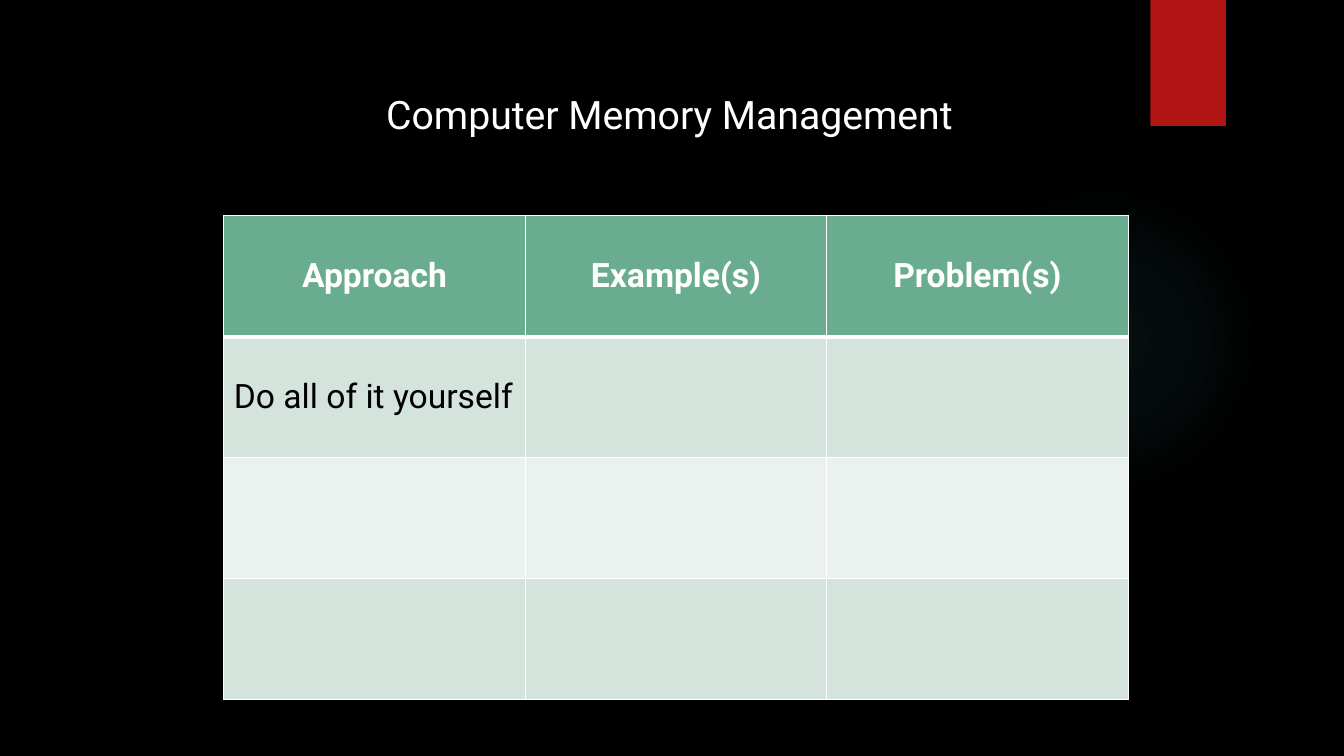
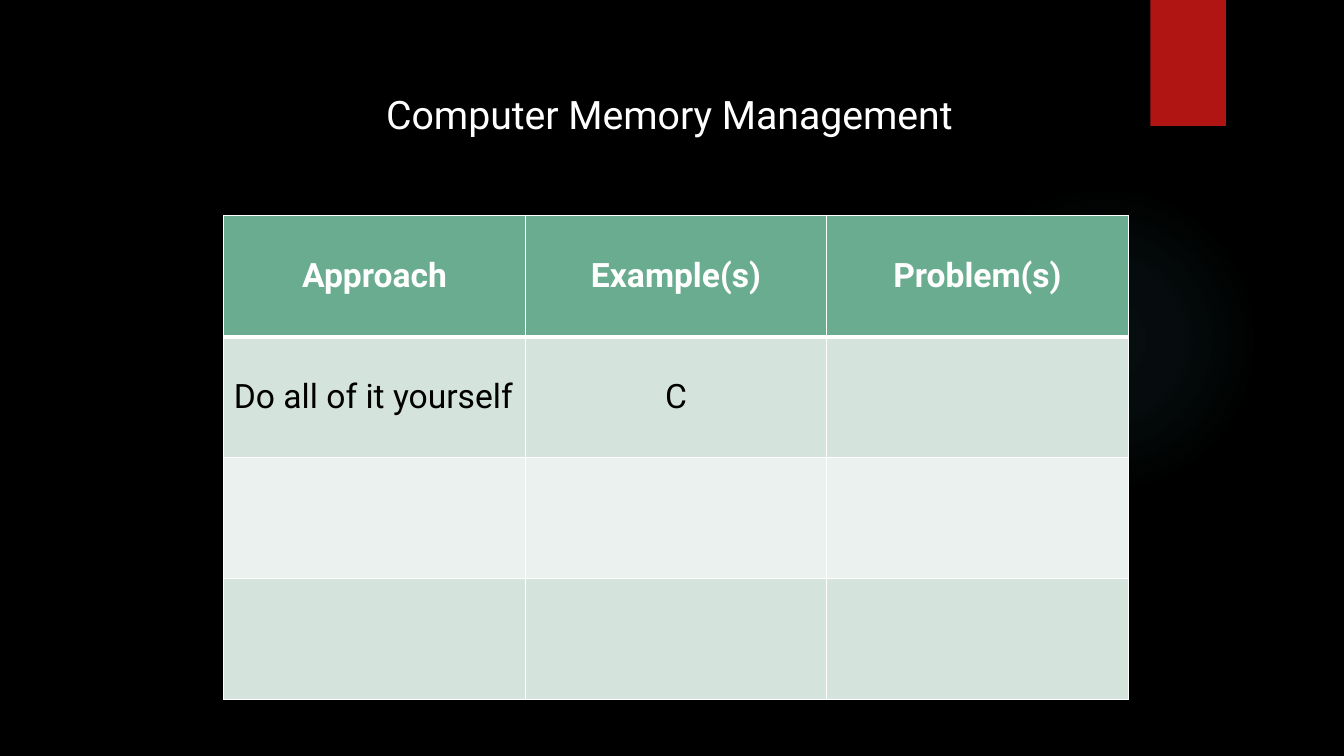
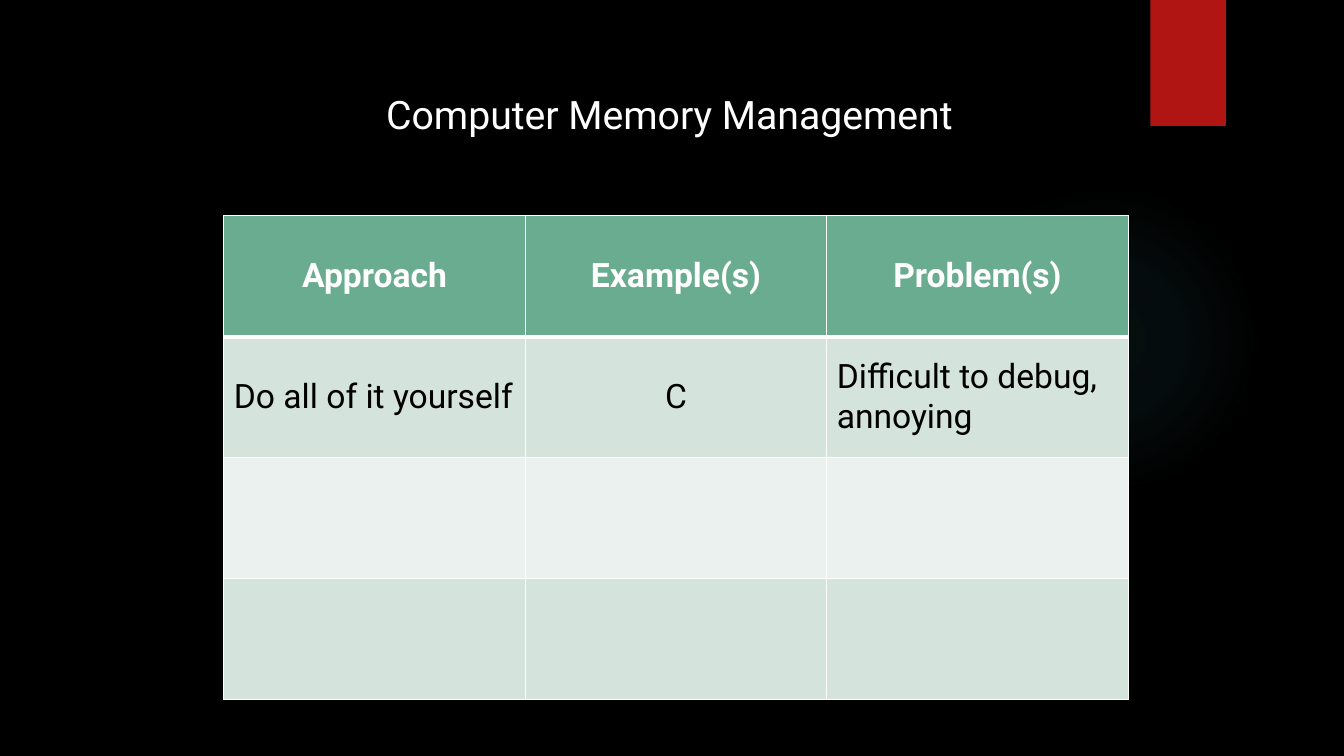
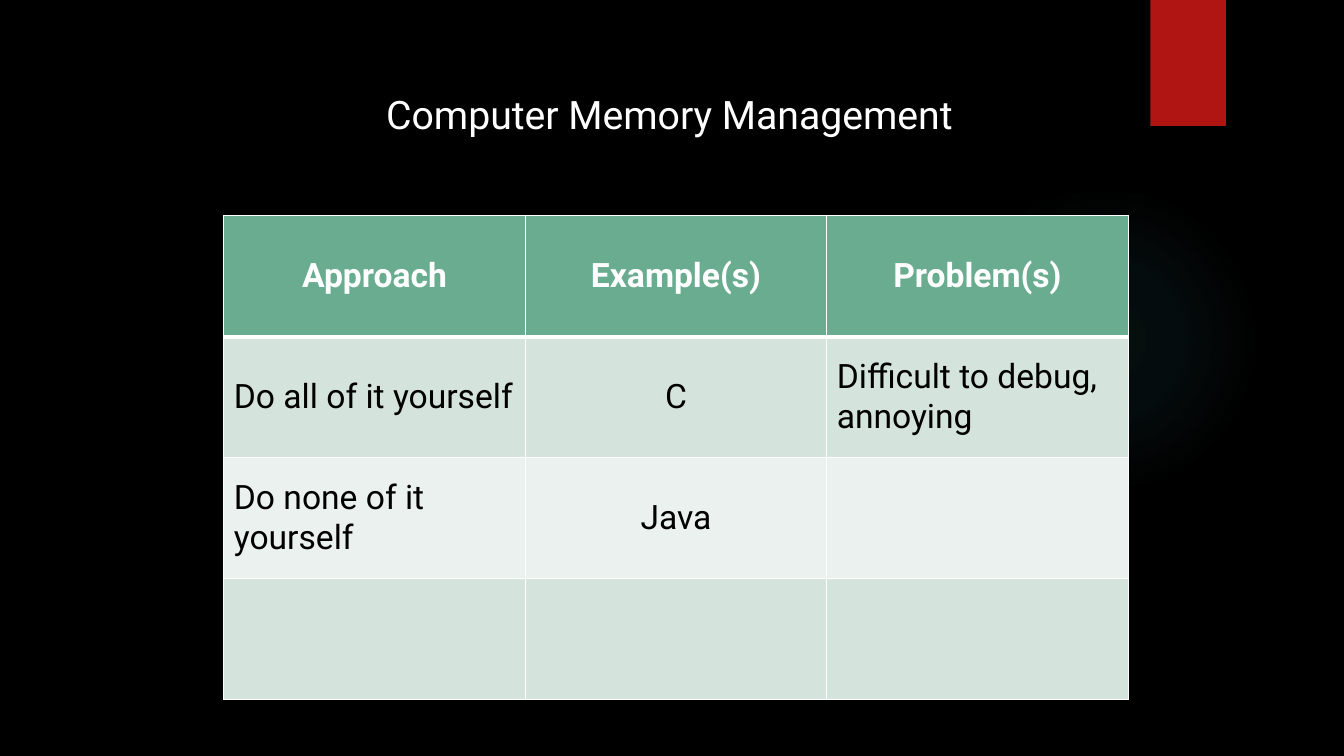
from typing import NamedTuple

from lxml import etree
from pptx import Presentation
from pptx.dml.color import RGBColor
from pptx.enum.shapes import MSO_SHAPE
from pptx.enum.text import MSO_ANCHOR, MSO_AUTO_SIZE, PP_ALIGN
from pptx.oxml import parse_xml
from pptx.oxml.ns import nsdecls, qn
from pptx.util import Emu, Pt

EMU_PER_PX = 9144  # 100 px to the inch
TITLE_ONLY = 5

RECTANGLE, OVAL = MSO_SHAPE.RECTANGLE, MSO_SHAPE.OVAL
LEFT, CENTER = PP_ALIGN.LEFT, PP_ALIGN.CENTER
TOP, MIDDLE = MSO_ANCHOR.TOP, MSO_ANCHOR.MIDDLE
NO_AUTOFIT = MSO_AUTO_SIZE.NONE

FONT = "Roboto"
BLACK, WHITE = "000000", "FFFFFF"
RED, GLOW = "B01513", "50B9C1"
HEADER_GREEN = "6AAC90"
BAND_GREENS = ("D4E3DB", "EBF1EE")
GLOW_STOPS = ((0, 7), (36, 6), (69, 0))  # position and opacity, in percent

TITLE = "Computer Memory Management"
HEADERS = ("Approach", "Example(s)", "Problem(s)")
ALIGNMENTS = (LEFT, CENTER, LEFT)
ANSWERS = (
    "Do all of it yourself", "C", "Difficult to debug, annoying",
    "Do none of it yourself", "Java",
)
ANSWERS_SHOWN = (1, 2, 3, 5)  # one count per slide
ROW_COUNT = 4
COLUMN_WIDTH, ROW_HEIGHT = 299, 120


class Area(NamedTuple):
    left: int
    top: int
    width: int
    height: int

    def emu(self) -> tuple[Emu, ...]:
        return tuple(px(length) for length in self)


class CellStyle(NamedTuple):
    fill: str
    color: str
    bold: bool
    align: PP_ALIGN
    top_border: int
    bottom_border: int


TITLE_AREA = Area(373, 85, 587, 57)
GLOW_AREA = Area(941, 183, 308, 308)
RIBBON_AREA = Area(1141, 0, 75, 125)
TABLE_AREA = Area(222, 214, COLUMN_WIDTH * len(HEADERS), ROW_HEIGHT * ROW_COUNT)


def px(length: int) -> Emu:
    return Emu(length * EMU_PER_PX)


def rgb(color: str) -> RGBColor:
    return RGBColor.from_string(color)


def style_paragraph(para, size: int, color: str, bold: bool, align: PP_ALIGN) -> None:
    para.alignment = align
    font = para.font
    font.name, font.size, font.bold = FONT, Pt(size), bold
    font.color.rgb = rgb(color)


def add_plain_shape(page, kind: MSO_SHAPE, area: Area, color: str):
    shape = page.shapes.add_shape(kind, *area.emu())
    shape.shadow.inherit = False
    shape.fill.solid()
    shape.fill.fore_color.rgb = rgb(color)
    shape.line.fill.background()
    return shape


def fade_to_edge(shape, color: str) -> None:
    """Replace the solid fill by a round gradient that turns transparent."""
    stops = "".join(
        f'<a:gs pos="{position * 1000}"><a:srgbClr val="{color}">'
        f'<a:alpha val="{opacity * 1000}"/></a:srgbClr></a:gs>'
        for position, opacity in GLOW_STOPS
    )
    gradient = parse_xml(
        f'<a:gradFill {nsdecls("a")} rotWithShape="1"><a:gsLst>{stops}</a:gsLst>'
        '<a:path path="circle"><a:fillToRect l="50000" t="50000" r="50000" b="50000"/>'
        "</a:path></a:gradFill>"
    )
    properties = shape.element.spPr
    properties.replace(properties.find(qn("a:solidFill")), gradient)


def add_border(cell, side: str, width: int) -> None:
    properties = cell._tc.get_or_add_tcPr()
    line = etree.SubElement(properties, qn(f"a:ln{side}"), w=str(Pt(width)))
    fill = etree.SubElement(line, qn("a:solidFill"))
    etree.SubElement(fill, qn("a:srgbClr"), val=WHITE)


def cell_style(row: int, column: int) -> CellStyle:
    if row == 0:
        return CellStyle(HEADER_GREEN, WHITE, True, CENTER, 1, 3)
    band = BAND_GREENS[(row - 1) % 2]
    return CellStyle(band, BLACK, False, ALIGNMENTS[column], 3 if row == 1 else 1, 1)


def fill_cell(cell, text: str, style: CellStyle) -> None:
    borders = {"L": 1, "R": 1, "T": style.top_border, "B": style.bottom_border}
    for side, width in borders.items():
        add_border(cell, side, width)
    cell.fill.solid()
    cell.fill.fore_color.rgb = rgb(style.fill)
    cell.vertical_anchor = MIDDLE
    if text:
        cell.text = text
        style_paragraph(cell.text_frame.paragraphs[0], 24, style.color, style.bold, style.align)


def add_approach_table(page, answers: tuple[str, ...]) -> None:
    column_count = len(HEADERS)
    table = page.shapes.add_table(ROW_COUNT, column_count, *TABLE_AREA.emu()).table
    texts = HEADERS + answers
    for index, cell in enumerate(table.iter_cells()):
        text = texts[index] if index < len(texts) else ""
        fill_cell(cell, text, cell_style(*divmod(index, column_count)))


def set_title(page) -> None:
    title = page.shapes.title
    title.left, title.top, title.width, title.height = TITLE_AREA.emu()
    frame = title.text_frame
    frame.text = TITLE
    frame.word_wrap = True
    frame.auto_size = NO_AUTOFIT
    frame.vertical_anchor = TOP
    style_paragraph(frame.paragraphs[0], 28, WHITE, False, LEFT)


def add_page(deck, answers: tuple[str, ...]) -> None:
    page = deck.slides.add_slide(deck.slide_layouts[TITLE_ONLY])
    fade_to_edge(add_plain_shape(page, OVAL, GLOW_AREA, GLOW), GLOW)
    add_plain_shape(page, RECTANGLE, RIBBON_AREA, RED)
    add_approach_table(page, answers)
    set_title(page)


def main() -> None:
    deck = Presentation()
    deck.slide_width, deck.slide_height = px(1333), px(750)
    background = deck.slide_master.background.fill
    background.solid()
    background.fore_color.rgb = rgb(BLACK)
    for count in ANSWERS_SHOWN:
        add_page(deck, ANSWERS[:count])
    deck.save("out.pptx")


if __name__ == "__main__":
    main()
